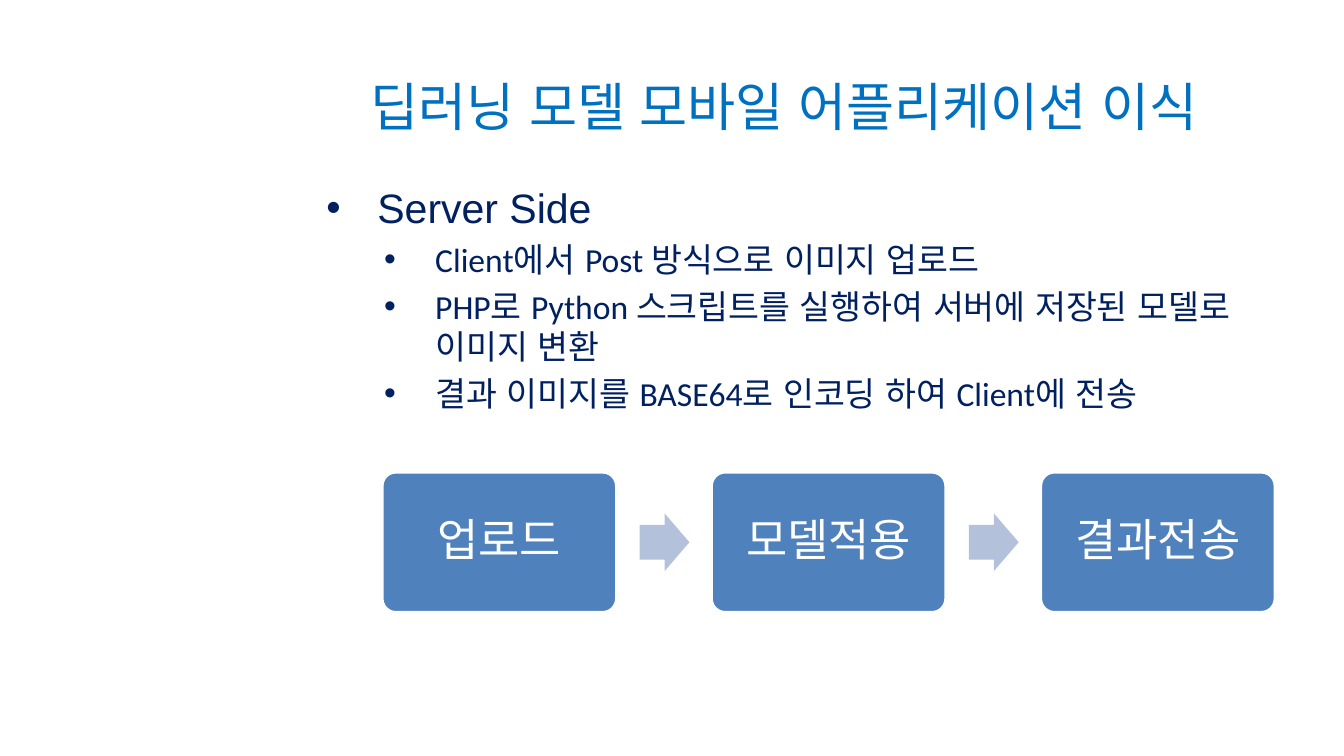
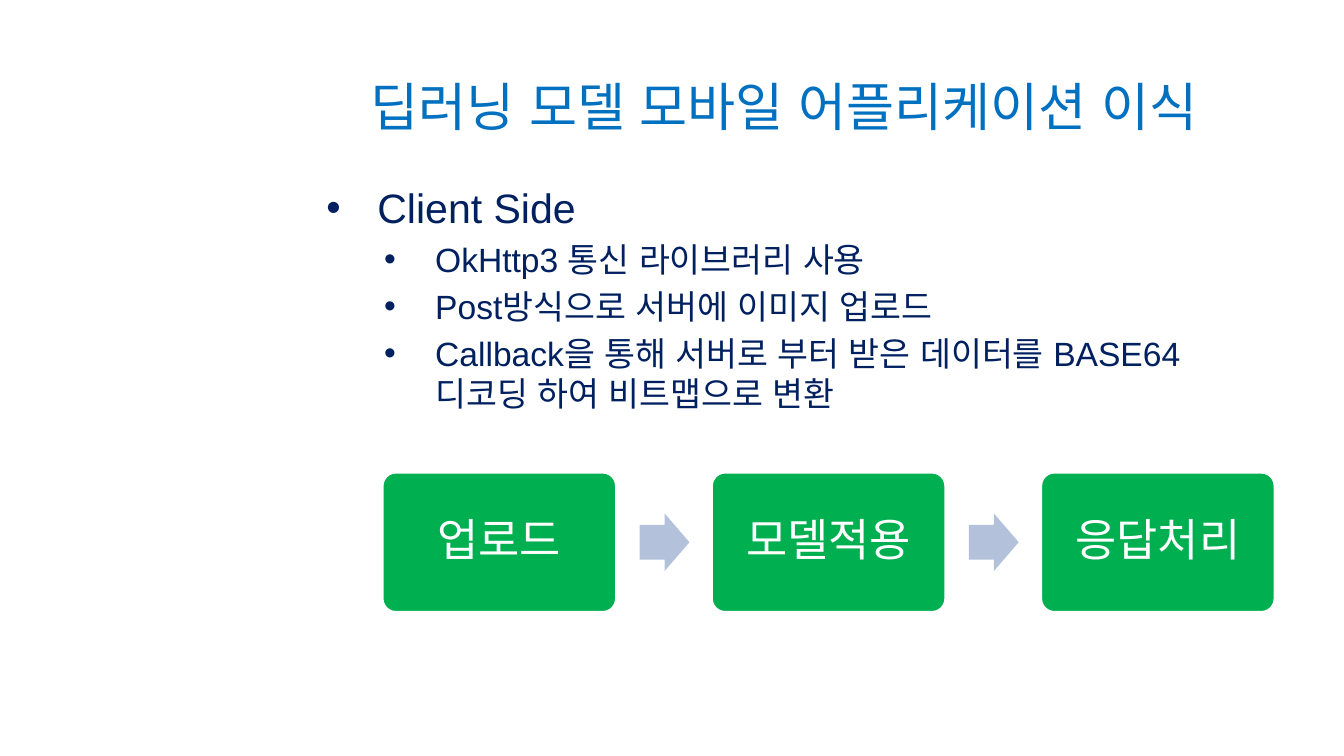
from lxml import etree
from pptx import Presentation
from pptx.dml.color import RGBColor
from pptx.enum.lang import MSO_LANGUAGE_ID as LANG
from pptx.enum.shapes import MSO_SHAPE as SHAPE
from pptx.enum.text import MSO_ANCHOR as ANCHOR, PP_ALIGN as ALIGN
from pptx.oxml.ns import qn
from pptx.util import Inches, Pt

BLUE, NAVY, WHITE, ARROW = "0070C0", "002060", "FFFFFF", "B3C1DB"
STEEL, GREEN = "4F81BD", "00B050"
TITLE = "딥러닝 모델 모바일 어플리케이션 이식"
STEP_LEFT, STEP_TOP, STEP_W, STEP_H, STEP_PITCH = 2.84, 3.51, 1.75, 1.05, 2.45
ARROW_W, ARROW_H, ARROW_OFFSET = 0.37, 0.43, 1.92

SLIDES = [
    ("Server Side", "Calibri",
     ["Client에서 Post 방식으로 이미지 업로드",
      "PHP로 Python 스크립트를 실행하여 서버에 저장된 모델로 이미지 변환",
      "결과 이미지를 BASE64로 인코딩 하여 Client에 전송"],
     ["업로드", "모델적용", "결과전송"], STEEL),
    ("Client Side", "Arial",
     ["OkHttp3 통신 라이브러리 사용",
      "Post방식으로 서버에 이미지 업로드",
      "Callback을 통해 서버로 부터 받은 데이터를 BASE64 디코딩 하여 비트맵으로 변환"],
     ["업로드", "모델적용", "응답처리"], GREEN),
]


def rgb(color):
    return RGBColor.from_string(color)


def style(p, text, size, font, color):
    p.text = text
    p.font.size = Pt(size)
    p.font.name = font
    p.font.color.rgb = rgb(color)
    p.font.language_id = LANG.KOREAN


def add_text_frame(s, left, top, width, height):
    box = s.shapes.add_textbox(Inches(left), Inches(top), Inches(width), Inches(height))
    tf = box.text_frame
    tf.word_wrap = True
    return tf


def add_title(s):
    tf = add_text_frame(s, 2.66, 0.47, 6.85, 0.63)
    tf.vertical_anchor = ANCHOR.MIDDLE
    style(tf.paragraphs[0], TITLE, 28, "Calibri", BLUE)


def set_bullet(p, indent, level):
    p.level = level
    p.space_before = Pt(p.font.size.pt * 0.2)
    pPr = p._p.get_or_add_pPr()
    pPr.set("marL", str(Inches(indent)))
    pPr.set("indent", str(Inches(-0.38)))
    font = etree.Element(qn("a:buFont"), typeface="Arial")
    char = etree.Element(qn("a:buChar"), char="•")
    defaults = pPr.find(qn("a:defRPr"))
    defaults.addprevious(font)
    defaults.addprevious(char)


def add_outline(s, heading, font, points):
    tf = add_text_frame(s, 2.33, 1.31, 7.18, 3.67)
    p = tf.paragraphs[0]
    style(p, heading, 22, "Arial", NAVY)
    set_bullet(p, 0.38, 0)
    for point in points:
        p = tf.add_paragraph()
        style(p, point, 18, font, NAVY)
        set_bullet(p, 0.81, 1)


def add_filled(s, kind, left, top, width, height, color, *adjustments):
    sp = s.shapes.add_shape(kind, Inches(left), Inches(top), Inches(width), Inches(height))
    sp.shadow.inherit = False
    sp.fill.solid()
    sp.fill.fore_color.rgb = rgb(color)
    sp.line.fill.background()
    for i, value in enumerate(adjustments):
        sp.adjustments[i] = value
    return sp


def add_step(s, left, label, color):
    sp = add_filled(s, SHAPE.ROUNDED_RECTANGLE, left, STEP_TOP, STEP_W, STEP_H, color, 0.1)
    sp.line.color.rgb = rgb(WHITE)
    sp.line.width = Pt(2)
    tf = sp.text_frame
    tf.word_wrap = True
    tf.vertical_anchor = ANCHOR.MIDDLE
    tf.margin_left = tf.margin_right = tf.margin_top = tf.margin_bottom = Inches(0.1)
    p = tf.paragraphs[0]
    style(p, label, 24, "Calibri", WHITE)
    p.alignment = ALIGN.CENTER
    p.line_spacing = 0.9


def add_process(s, labels, color):
    for i, label in enumerate(labels):
        left = STEP_LEFT + i * STEP_PITCH
        add_step(s, left, label, color)
        if i < len(labels) - 1:
            add_filled(s, SHAPE.RIGHT_ARROW, left + ARROW_OFFSET,
                       STEP_TOP + (STEP_H - ARROW_H) / 2, ARROW_W, ARROW_H, ARROW, 0.6, 0.5)


def main():
    prs = Presentation()
    prs.slide_width = Inches(10)
    prs.slide_height = Inches(10) * 9 // 16
    for heading, font, points, steps, color in SLIDES:
        s = prs.slides.add_slide(prs.slide_layouts[6])
        add_title(s)
        add_outline(s, heading, font, points)
        add_process(s, steps, color)
    prs.save("out.pptx")


if __name__ == "__main__":
    main()
